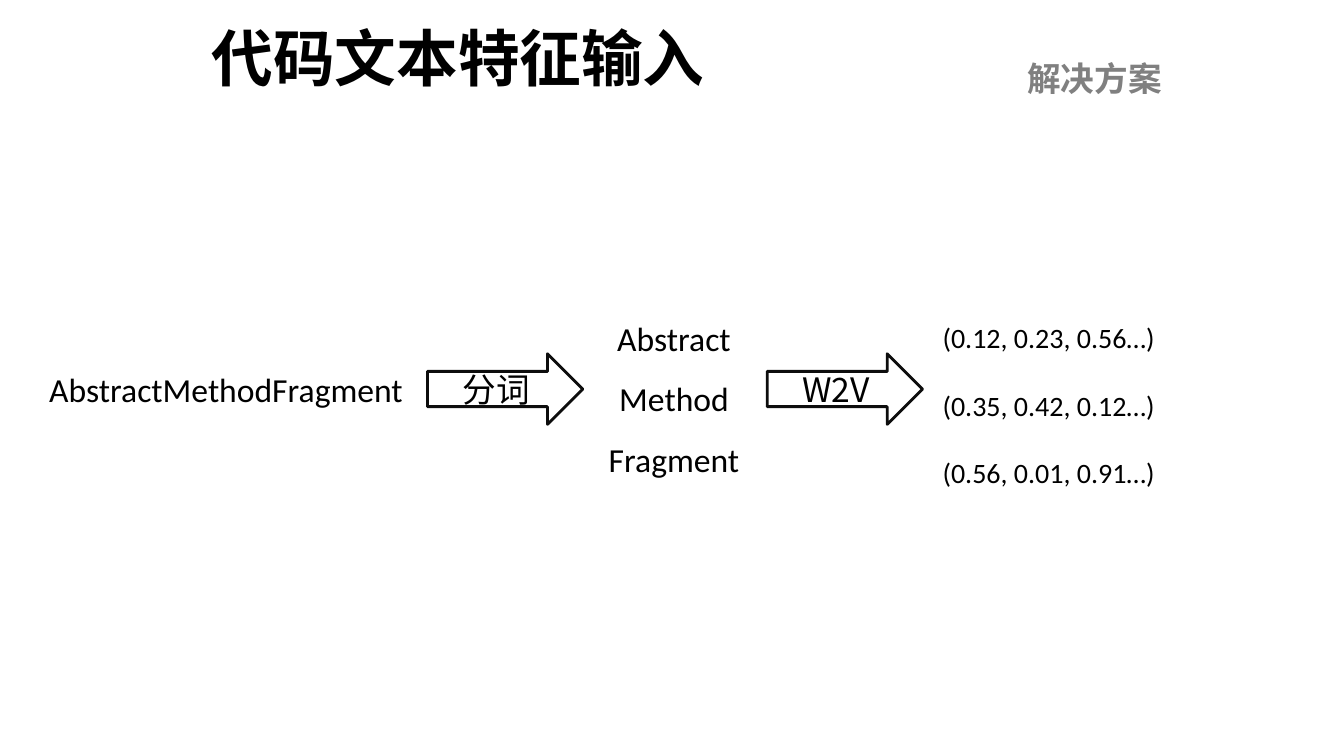
from pptx import Presentation
from pptx.dml.color import RGBColor
from pptx.enum.shapes import MSO_SHAPE
from pptx.enum.text import MSO_ANCHOR, MSO_AUTO_SIZE, PP_ALIGN
from pptx.oxml.ns import qn
from pptx.util import Inches, Pt
from lxml import etree

ARROW = MSO_SHAPE.RIGHT_ARROW
MIDDLE = MSO_ANCHOR.MIDDLE
TOP = MSO_ANCHOR.TOP
GROW = MSO_AUTO_SIZE.SHAPE_TO_FIT_TEXT
FIXED = MSO_AUTO_SIZE.NONE
LEFT, CENTER = PP_ALIGN.LEFT, PP_ALIGN.CENTER

COLORS = {"ink": "000000", "edge": "0D0D0D", "muted": "808080"}
LATIN, HAN = "Calibri", "Noto Sans CJK SC"
CELL = 0.1


def color(name):
    return RGBColor.from_string(COLORS[name])


def write(frame, *lines, size=24, font=LATIN, ink="ink", bold=False,
          align=LEFT, space=1.0, anchor=TOP, fit=GROW):
    frame.word_wrap = True
    frame.auto_size = fit
    frame.vertical_anchor = anchor
    for i, line in enumerate(lines):
        para = frame.add_paragraph() if i else frame.paragraphs[0]
        para.alignment = align
        para.line_spacing = space
        run = para.add_run()
        run.text = line
        run.font.size = Pt(size)
        run.font.bold = bold
        run.font.color.rgb = color(ink)
        run.font.name = font
        props = run.font._element
        etree.SubElement(props, qn("a:ea")).set("typeface", font)


class Board:
    def __init__(self, slide):
        self.shapes = slide.shapes

    def area(self, *cells):
        return [Inches(n * CELL) for n in cells]

    def label(self, col, row, wide, high, *lines, **style):
        box = self.shapes.add_textbox(*self.area(col, row, wide, high))
        write(box.text_frame, *lines, **style)

    def arrow(self, col, text):
        shape = self.shapes.add_shape(ARROW, *self.area(col, 35.1, 15.4, 7))
        shape.shadow.inherit = False
        shape.fill.background()
        shape.line.color.rgb = color("edge")
        shape.line.width = Pt(2)
        write(shape.text_frame, text, font=HAN, align=CENTER,
              anchor=MIDDLE, fit=FIXED)


def main():
    deck = Presentation()
    deck.slide_width, deck.slide_height = Inches(13.33), Inches(7.5)
    board = Board(deck.slides.add_slide(deck.slide_layouts[6]))

    board.label(20, 1.5, 54.8, 8.3, "代码文本特征输入", size=44,
                font=HAN, bold=True, anchor=MIDDLE, fit=FIXED)
    board.label(100.9, 5.3, 30.7, 5, "解决方案",
                font=HAN, ink="muted", bold=True)

    words = ["Abstract", "Method", "Fragment"]
    vectors = ["(0.12, 0.23, 0.56…)", "(0.35, 0.42, 0.12…)",
               "(0.56, 0.01, 0.91…)"]
    board.label(3.9, 36.1, 37.4, 5, "".join(words))
    board.label(58.8, 29, 16.1, 19.2, *words, align=CENTER, space=1.5)
    board.label(92.5, 28, 23.4, 21.2, *vectors, size=20, space=2.0)
    for col, step in [(42.4, "分词"), (76.1, "W2V")]:
        board.arrow(col, step)

    deck.save("out.pptx")


if __name__ == "__main__":
    main()
